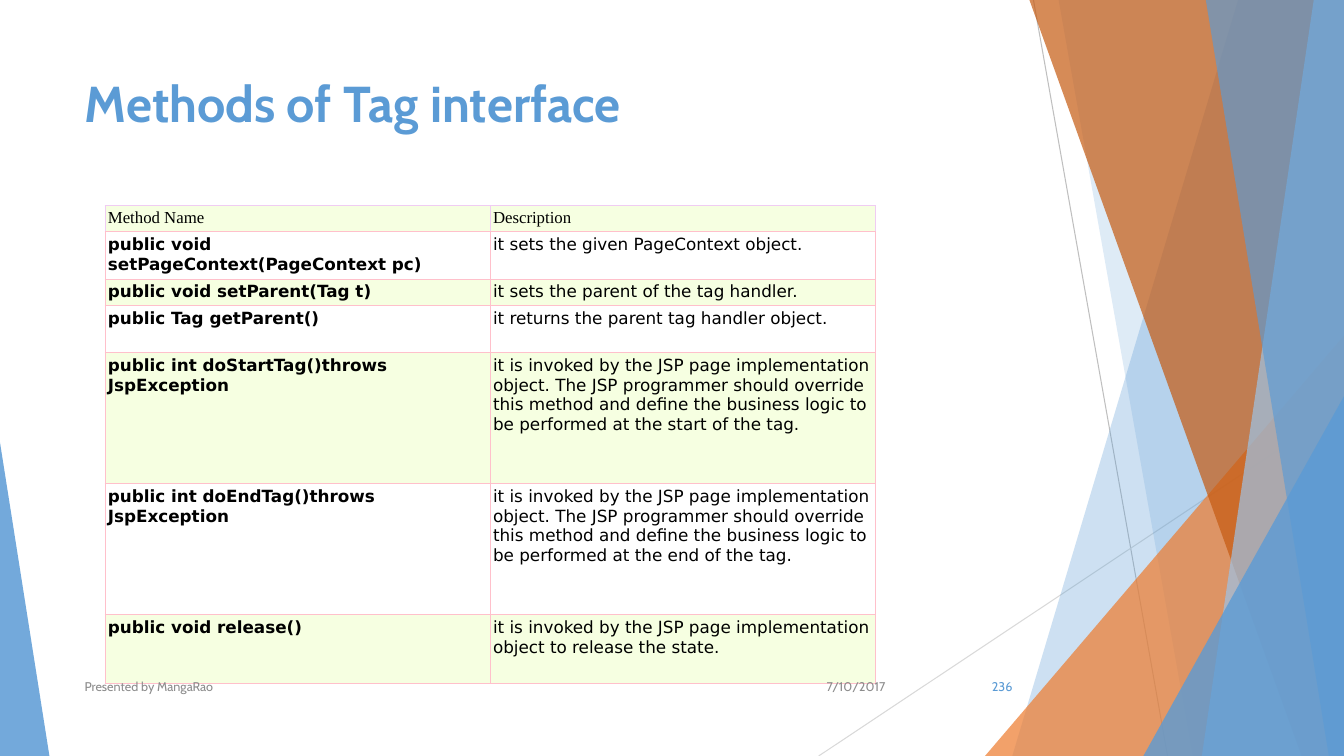
from lxml import etree
from pptx import Presentation
from pptx import util as u
from pptx.dml import color
from pptx.enum import shapes, text
from pptx.oxml import ns

PX = 9144
WIDTH, HEIGHT = 1333, 750
BLUE, GREY = "5B9BD5", "8C8C8C"
GREEN, WHITE = "F6FFE1", "FFFFFF"
PINK, LILAC = "FFC0CB", "F0CCF3"

METHODS = [
    ("Method Name", "Description", 26),
    ("public void setPageContext(PageContext pc)",
     "it sets the given PageContext object.", 47),
    ("public void setParent(Tag t)", "it sets the parent of the tag handler.", 26),
    ("public Tag getParent()", "it returns the parent tag handler object.", 47),
    ("public int doStartTag()throws JspException",
     "it is invoked by the JSP page implementation object. The JSP programmer "
     "should override this method and define the business logic to be performed "
     "at the start of the tag.", 130),
    ("public int doEndTag()throws JspException",
     "it is invoked by the JSP page implementation object. The JSP programmer "
     "should override this method and define the business logic to be performed "
     "at the end of the tag.", 130),
    ("public void release()",
     "it is invoked by the JSP page implementation object to release the state.", 68),
]


def px(*lengths):
    return [u.Emu(length * PX) for length in lengths]


def rgb(value):
    return color.RGBColor.from_string(value)


def apply(target, values):
    for key, value in values.items():
        setattr(target, key, value)


def style_font(paragraph, name, size, tint, bold=False):
    apply(paragraph.font, {"name": name, "size": u.Pt(size), "bold": bold})
    paragraph.font.color.rgb = rgb(tint)


def paint(facet, tint, opacity):
    facet.shadow.inherit = False
    facet.line.fill.background()
    facet.fill.solid()
    facet.fill.fore_color.rgb = rgb(tint)
    srgb = facet.fill._xPr.find(".//" + ns.qn("a:srgbClr"))
    etree.SubElement(srgb, ns.qn("a:alpha"), val=str(opacity * 1000))


def add_ray(slide, start, end, tint):
    ray = slide.shapes.add_connector(
        shapes.MSO_CONNECTOR.STRAIGHT, *px(*start, *end))
    ray.line.width = u.Pt(0.75)
    ray.line.color.rgb = rgb(tint)
    etree.SubElement(ray._element.spPr, ns.qn("a:effectLst"))


def add_band(slide, top_x, bottom_x, tint, opacity):
    outline = slide.shapes.build_freeform(top_x, 0, scale=PX)
    outline.add_line_segments([(WIDTH, 0), (WIDTH, HEIGHT), (bottom_x, HEIGHT)])
    paint(outline.convert_to_shape(), tint, opacity)


def add_wedge(slide, box, apex, tint, opacity):
    wedge = slide.shapes.add_shape(
        shapes.MSO_SHAPE.ISOSCELES_TRIANGLE, *px(*box))
    wedge.adjustments[0] = apex
    paint(wedge, tint, opacity)


def add_facets(slide):
    add_ray(slide, (1025, 0), (1158, HEIGHT), "BFBFBF")
    add_ray(slide, (WIDTH, 403), (812, HEIGHT), "D9D9D9")
    add_band(slide, 1228, 1004, BLUE, 30)
    add_band(slide, 1050, 1183, BLUE, 20)
    add_wedge(slide, (977, 333, 356, 417), 1, "ED7D31", 72)
    add_band(slide, 1021, 1291, "C55A11", 70)
    add_band(slide, 1303, 1192, "9DC3E6", 70)
    add_band(slide, 1196, 1318, BLUE, 65)
    add_wedge(slide, (1134, 393, 199, 357), 1, BLUE, 80)
    add_wedge(slide, (0, 439, 49, 311), 0, BLUE, 85)


def set_title(slide, wording):
    title = slide.shapes.title
    left, top, width, height = px(74, 67, 940, 144)
    apply(title, {"left": left, "top": top, "width": width, "height": height})
    frame = title.text_frame
    frame.text = wording
    apply(frame, {"vertical_anchor": text.MSO_ANCHOR.TOP, "word_wrap": True,
                  "auto_size": text.MSO_AUTO_SIZE.NONE})
    heading = frame.paragraphs[0]
    heading.alignment = text.PP_ALIGN.LEFT
    style_font(heading, "Cabin", 36, BLUE, True)


def add_footer(slide, box, wording, align, tint):
    frame = slide.shapes.add_textbox(*px(*box)).text_frame
    apply(frame, {"text": wording, "word_wrap": True,
                  "vertical_anchor": text.MSO_ANCHOR.MIDDLE})
    frame.paragraphs[0].alignment = align
    style_font(frame.paragraphs[0], "Cabin", 9, tint)


def set_borders(cell, tints):
    properties = cell._tc.get_or_add_tcPr()
    for side, tint in zip("LRTB", tints):
        edge = etree.SubElement(properties, ns.qn("a:ln" + side),
                                w=str(u.Pt(0.6)))
        solid = etree.SubElement(edge, ns.qn("a:solidFill"))
        etree.SubElement(solid, ns.qn("a:srgbClr"), val=tint)


def fill_cell(cell, wording, header, bold, shade):
    margin = px(3)[0]
    cell.text = wording
    apply(cell, {"margin_left": margin, "margin_right": margin,
                 "margin_top": margin, "margin_bottom": margin,
                 "vertical_anchor": text.MSO_ANCHOR.TOP})
    set_borders(cell, [LILAC] * 3 + [PINK] if header else [PINK] * 4)
    cell.fill.solid()
    cell.fill.fore_color.rgb = rgb(shade)
    face = "Times New Roman" if header else "DejaVu Sans"
    style_font(cell.text_frame.paragraphs[0], face, 12, "000000", bold)


def add_methods(slide):
    total = sum(height for _, _, height in METHODS)
    grid = slide.shapes.add_table(
        len(METHODS), 2, *px(104, 204, 764, total)).table
    apply(grid, {"first_row": False, "horz_banding": False})
    for index, (method, description, height) in enumerate(METHODS):
        grid.rows[index].height = px(height)[0]
        header = index == 0
        shade = WHITE if index % 2 else GREEN
        fill_cell(grid.cell(index, 0), method, header, not header, shade)
        fill_cell(grid.cell(index, 1), description, header, False, shade)


def main():
    deck = Presentation()
    deck.slide_width, deck.slide_height = px(WIDTH, HEIGHT)
    slide = deck.slides.add_slide(deck.slide_layouts[5])
    add_facets(slide)
    set_title(slide, "Methods of Tag interface")
    add_methods(slide)
    right, left = text.PP_ALIGN.RIGHT, text.PP_ALIGN.LEFT
    add_footer(slide, (788, 661, 100, 40), "7/10/2017", right, GREY)
    add_footer(slide, (74, 661, 689, 40), "Presented by MangaRao", left, GREY)
    add_footer(slide, (939, 661, 75, 40), "236", right, BLUE)
    deck.save("out.pptx")


if __name__ == "__main__":
    main()
